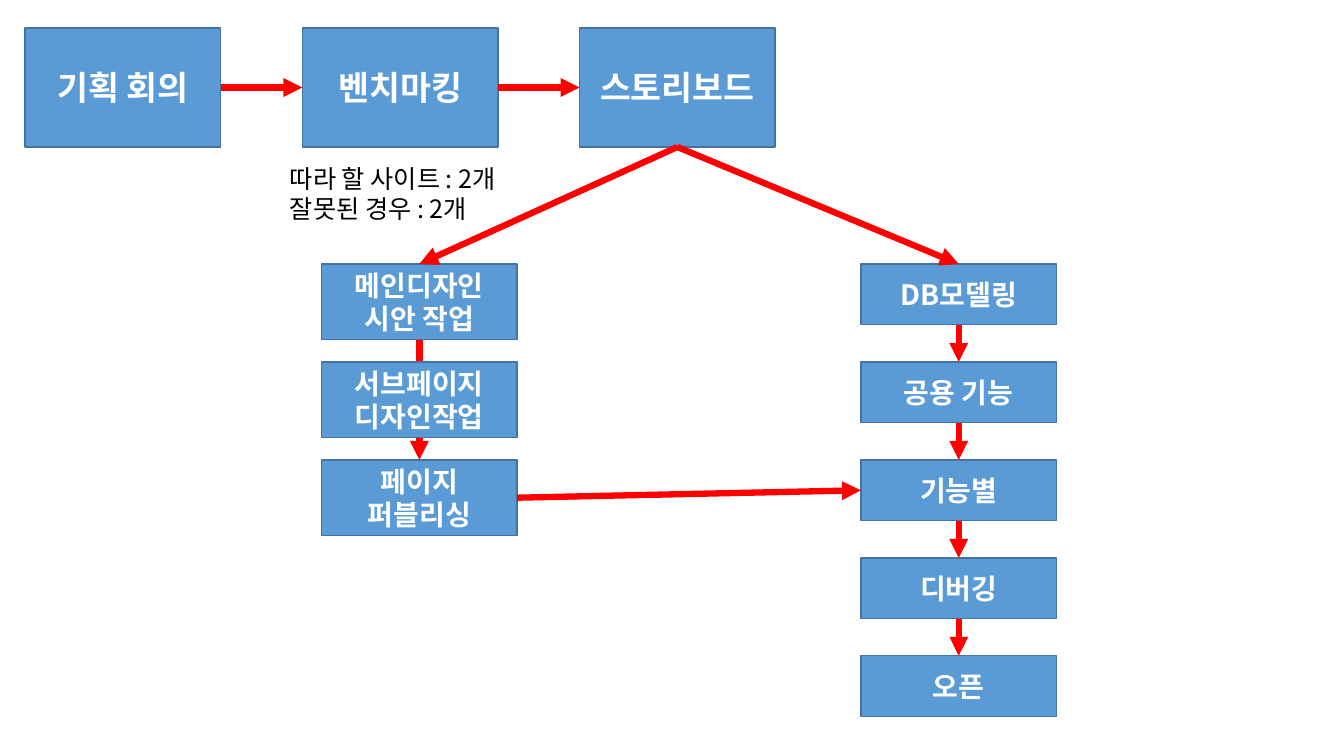
from pptx import Presentation
from pptx.dml.color import RGBColor
from pptx.enum.shapes import MSO_CONNECTOR, MSO_SHAPE
from pptx.enum.text import MSO_ANCHOR, MSO_AUTO_SIZE, PP_ALIGN
from pptx.oxml.ns import qn
from pptx.util import Pt
from lxml.etree import SubElement

HUES = {"box": "5B9BD5", "edge": "43739E", "arrow": "FF0000",
        "light": "FFFFFF", "dark": "000000"}
FACE = "Noto Sans CJK KR"
TOP, LEFT, BOTTOM, RIGHT = range(4)  # connection sites of a rectangle
WIDE = 139.7  # width of every step
PITCH = 69.95  # distance from one step to the next down a column


def hue(name):
    """Return a palette colour."""
    return RGBColor.from_string(HUES[name])


def write(frame, lines, size, tone, bold=False, align=PP_ALIGN.LEFT):
    """Fill a text frame with one paragraph per line."""
    frame.text = "\n".join(lines)
    for para in frame.paragraphs:
        para.alignment = align
        font = para.font
        font.size, font.bold, font.name = Pt(size), bold, FACE
        font.color.rgb = hue(tone)
        props = para._p.pPr.find(qn("a:defRPr"))
        SubElement(props, qn("a:ea")).set("typeface", FACE)


def step(slide, x, y, high, lines, size):
    """Draw one step of the process."""
    box = slide.shapes.add_shape(MSO_SHAPE.RECTANGLE, Pt(x), Pt(y), Pt(WIDE), Pt(high))
    box.shadow.inherit = False
    box.fill.solid()
    box.fill.fore_color.rgb = hue("box")
    box.line.color.rgb = hue("edge")
    box.line.width = Pt(1)
    box.text_frame.vertical_anchor = MSO_ANCHOR.MIDDLE
    write(box.text_frame, lines, size, "light", True, PP_ALIGN.CENTER)
    return box


def link(slide, start, out, end, into):
    """Join two steps with a red arrow."""
    arrow = slide.shapes.add_connector(MSO_CONNECTOR.STRAIGHT, 0, 0, 0, 0)
    arrow.begin_connect(start, out)
    arrow.end_connect(end, into)
    arrow.line.color.rgb = hue("arrow")
    arrow.line.width = Pt(4.5)
    SubElement(arrow.line._get_or_add_ln(), qn("a:tailEnd")).set("type", "triangle")
    SubElement(arrow._element.spPr, qn("a:effectLst"))


def plan(slide, x, y):
    """Draw the planning row and return its last step."""
    names = ["기획 회의", "벤치마킹", "스토리보드"]
    row = [step(slide, x + i * 198, y, 85, [name], 24)
           for i, name in enumerate(names)]
    for start, end in zip(row, row[1:]):
        link(slide, start, RIGHT, end, LEFT)
    return row[-1]


def note(slide, x, y, wide, high):
    """Write the benchmarking targets."""
    box = slide.shapes.add_textbox(Pt(x), Pt(y), Pt(wide), Pt(high))
    frame = box.text_frame
    frame.word_wrap = False
    frame.auto_size = MSO_AUTO_SIZE.SHAPE_TO_FIT_TEXT
    write(frame, ["따라 할 사이트 : 2개", "잘못된 경우 : 2개"], 18, "dark")


def design(slide, x, y):
    """Draw the design column and return its first and last steps."""
    high = 54
    first = step(slide, x, y, high, ["메인디자인", "시안 작업"], 20)
    last = step(slide, x, y + 2 * PITCH, high, ["페이지", "퍼블리싱"], 20)
    link(slide, first, BOTTOM, last, TOP)  # runs behind the middle step
    step(slide, x, y + PITCH, high, ["서브페이지", "디자인작업"], 20)
    return first, last


def build(slide, x, y):
    """Draw the development column and return its steps."""
    names = ["DB모델링", "공용 기능", "기능별", "디버깅", "오픈"]
    column = [step(slide, x, y + i * PITCH, 43.4, [name], 20)
              for i, name in enumerate(names)]
    for start, end in zip(column, column[1:]):
        link(slide, start, BOTTOM, end, TOP)
    return column


def main():
    """Build the process slide."""
    deck = Presentation()
    deck.slide_width, deck.slide_height = Pt(960), Pt(540)
    slide = deck.slides.add_slide(deck.slide_layouts[6])
    story = plan(slide, 18, 20)
    note(slide, 200, 113, 181.5, 51)
    first, last = design(slide, 229.7, 188.6)
    column = build(slide, 615, 188.6)
    link(slide, story, BOTTOM, first, TOP)
    link(slide, story, BOTTOM, column[0], TOP)
    link(slide, last, RIGHT, column[2], LEFT)
    deck.save("out.pptx")


main()
